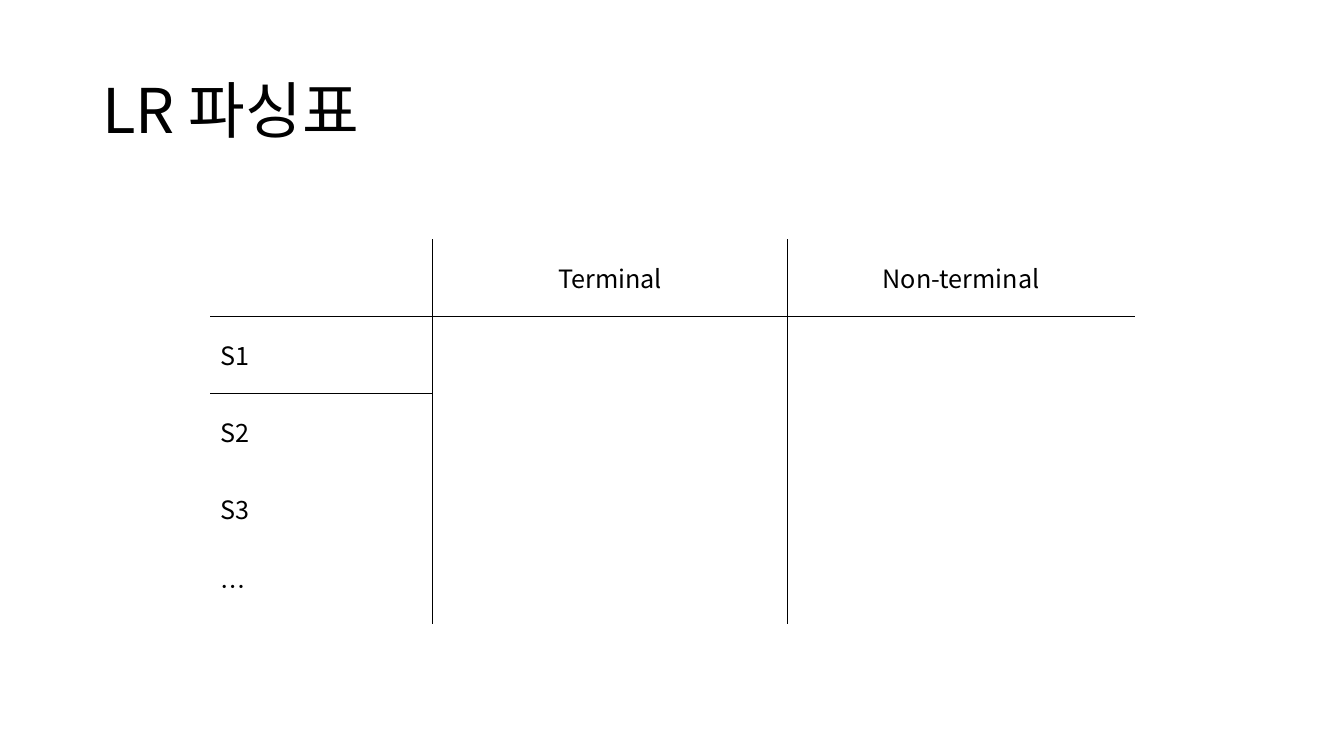
from lxml.etree import SubElement
from pptx import Presentation
from pptx.dml.color import RGBColor
from pptx.enum.text import MSO_ANCHOR as Anchor, PP_ALIGN as Align
from pptx.oxml.ns import qn
from pptx.util import Pt

ROWS = [
    ["", "Terminal", "Non-terminal"],
    ["S1", "", ""],
    ["S2", "", ""],
    ["S3", "", ""],
    ["…", "", ""],
]
COLUMN_WIDTHS = [159, 253.5, 248]
ROW_HEIGHT = 55


def colour(value):
    return RGBColor.from_string(value)


class SlideBuilder:
    font = "Noto Sans CJK KR"
    ink = "000000"

    def __init__(self, deck):
        self.page = deck.slides.add_slide(deck.slide_layouts[5])

    def style(self, para, size, align):
        para.alignment = align
        para.font.size = Pt(size)
        para.font.name = self.font
        para.font.color.rgb = colour(self.ink)
        for properties in para._p.iter(qn("a:defRPr")):
            SubElement(properties, qn("a:ea"), typeface=self.font)

    def title(self, text, left, top, width, height):
        box = self.page.shapes.title
        box.left, box.top, box.width, box.height = map(Pt, (left, top, width, height))
        frame = box.text_frame
        frame.text = text
        frame.vertical_anchor = Anchor.MIDDLE
        para = frame.paragraphs[0]
        para.line_spacing = 0.9
        self.style(para, 44, Align.LEFT)

    def borders(self, cell, visible):
        """Draw the sides named in visible and clear the others."""
        properties = cell._tc.get_or_add_tcPr()
        for index, side in enumerate("LRTB"):
            line = SubElement(properties, qn("a:ln" + side), w=str(Pt(1)))
            if side in visible:
                fill = SubElement(line, qn("a:solidFill"))
                SubElement(fill, qn("a:srgbClr"), val=self.ink)
            else:
                SubElement(line, qn("a:noFill"))
            properties.insert(index, line)

    def table(self, rows, left, top, widths, row_height, sides):
        frame = self.page.shapes.add_table(
            len(rows), len(widths), Pt(left), Pt(top),
            Pt(sum(widths)), Pt(row_height * len(rows)))
        table = frame.table
        table.first_row = table.horz_banding = False
        for column, width in zip(table.columns, widths):
            column.width = Pt(width)
        for r, texts in enumerate(rows):
            table.rows[r].height = Pt(row_height)
            for c, text in enumerate(texts):
                cell = table.cell(r, c)
                cell.text = text
                cell.vertical_anchor = Anchor.MIDDLE
                cell.fill.background()
                align = Align.LEFT if c == 0 else Align.CENTER
                self.style(cell.text_frame.paragraphs[0], 18, align)
                self.borders(cell, sides(r, c))


def parsing_table_sides(row, column):
    """Rule off the columns, the header row and the S1 label."""
    sides = "R" if column == 0 else "LR" if column == 1 else "L"
    if row == 0 or (row, column) == (1, 0):
        sides += "B"
    if row == 1 or (row, column) == (2, 0):
        sides += "T"
    return sides


def main():
    deck = Presentation()
    deck.slide_width, deck.slide_height = Pt(960), Pt(540)
    slide = SlideBuilder(deck)

    # Title
    slide.title("LR 파싱표", 66, 28.75, 828, 104.4)

    # Parsing table
    slide.table(ROWS, 150, 171, COLUMN_WIDTHS, ROW_HEIGHT, parsing_table_sides)

    deck.save("out.pptx")


if __name__ == "__main__":
    main()
